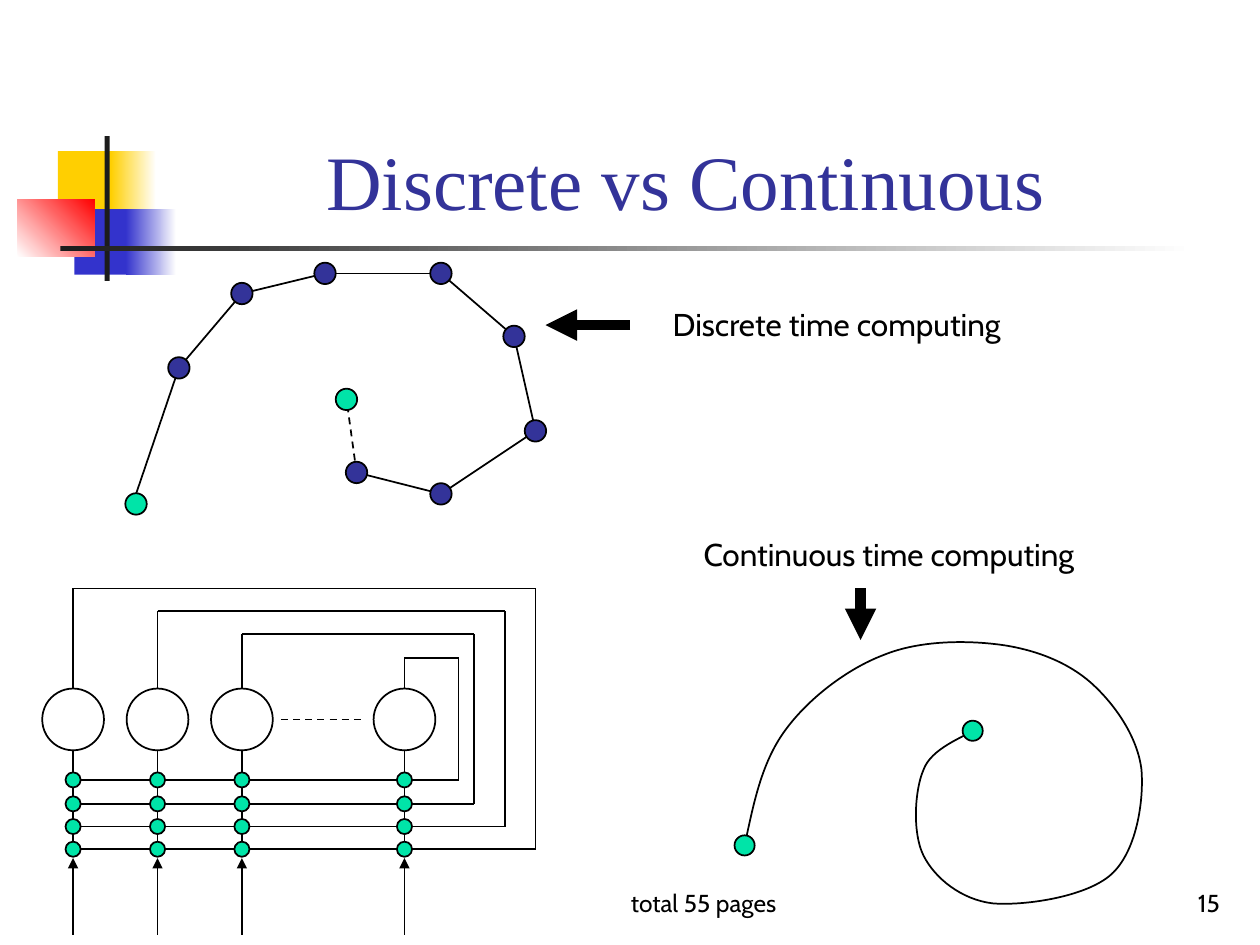
"""Build the slide comparing discrete and continuous time computing."""
from dataclasses import dataclass
from itertools import pairwise
from typing import Optional

from lxml.etree import SubElement
from pptx import Presentation
from pptx.dml.color import RGBColor
from pptx.enum.dml import MSO_LINE
from pptx.enum.shapes import MSO_CONNECTOR, MSO_SHAPE
from pptx.enum.text import MSO_ANCHOR, PP_ALIGN
from pptx.oxml.ns import qn
from pptx.util import Inches, Pt

BLACK = RGBColor(0x00, 0x00, 0x00)
WHITE = RGBColor(0xFF, 0xFF, 0xFF)
YELLOW = RGBColor(0xFF, 0xCF, 0x01)
BLUE = RGBColor(0x33, 0x33, 0xCC)
RED = RGBColor(0xFF, 0x00, 0x00)
CHARCOAL = RGBColor(0x1C, 0x1C, 0x1C)
NAVY = RGBColor(0x33, 0x33, 0x99)
GREEN = RGBColor(0x00, 0xE4, 0xA8)

Point = tuple[float, float]


@dataclass(frozen=True)
class Block:
    left: float
    top: float
    width: float
    height: float
    color: RGBColor
    fade_to: Optional[RGBColor] = None
    angle: float = 0


@dataclass(frozen=True)
class Label:
    text: str
    left: float
    top: float
    width: float
    height: float
    size: int
    align: PP_ALIGN = PP_ALIGN.CENTER
    anchor: MSO_ANCHOR = MSO_ANCHOR.TOP


@dataclass(frozen=True)
class Loop:
    column: float
    top: float
    right: float
    row: float


BLOCKS = [
    Block(0.46, 1.2, 0.48, 0.52, YELLOW),
    Block(0.88, 1.2, 0.36, 0.52, YELLOW, WHITE),
    Block(0.59, 1.66, 0.46, 0.52, BLUE),
    Block(1, 1.66, 0.4, 0.52, BLUE, WHITE),
    Block(0.14, 1.58, 0.61, 0.46, WHITE, RED, 45),
    Block(0.83, 1.08, 0.04, 1.15, CHARCOAL),
    Block(0.48, 1.95, 9, 0.04, CHARCOAL, WHITE),
]
LABELS = [
    Label("total 55 pages", 4, 6.83, 3.17, 0.5, 14, anchor=MSO_ANCHOR.BOTTOM),
    Label("15", 7.7, 6.83, 2.08, 0.5, 14, PP_ALIGN.RIGHT, MSO_ANCHOR.BOTTOM),
    Label("Discrete time computing", 5.09, 2.37, 3.1, 0.4, 18),
    Label("Continuous time computing", 5.31, 4.2, 3.49, 0.4, 18),
]
LOOPS = [
    Loop(0.58, 4.67, 4.25, 6.74),
    Loop(1.25, 4.85, 4.01, 6.56),
    Loop(1.92, 5.03, 3.76, 6.38),
    Loop(3.21, 5.22, 3.64, 6.19),
]
START, FINISH = (1.08, 4), (2.75, 3.17)
STEPS = [(1.42, 2.92), (1.92, 2.33), (2.58, 2.17), (3.5, 2.17),
         (4.08, 2.67), (4.25, 3.42), (3.5, 3.92), (2.83, 3.75)]
CURVE = [
    (5.91, 6.71), (5.98, 6.39), (6.04, 6.06), (6.23, 5.8),
    (6.41, 5.55), (6.72, 5.31), (7.01, 5.2),
    (7.3, 5.08), (7.68, 5.08), (7.96, 5.12),
    (8.23, 5.16), (8.48, 5.26), (8.66, 5.42),
    (8.85, 5.59), (9.03, 5.85), (9.06, 6.11),
    (9.08, 6.36), (9.02, 6.76), (8.82, 6.94),
    (8.62, 7.12), (8.13, 7.19), (7.88, 7.17),
    (7.63, 7.14), (7.42, 6.97), (7.33, 6.79),
    (7.24, 6.61), (7.26, 6.27), (7.33, 6.11),
    (7.39, 5.94), (7.65, 5.85), (7.72, 5.8),
]


def draw_block(slide, block: Block) -> None:
    shape = slide.shapes.add_shape(
        MSO_SHAPE.RECTANGLE, Inches(block.left), Inches(block.top),
        Inches(block.width), Inches(block.height))
    shape.shadow.inherit = False
    shape.line.fill.background()
    if block.fade_to is None:
        shape.fill.solid()
        shape.fill.fore_color.rgb = block.color
        return
    shape.fill.gradient()
    shape.fill.gradient_angle = block.angle
    for stop, color in zip(shape.fill.gradient_stops, (block.color, block.fade_to)):
        stop.color.rgb = color


def draw_label(slide, label: Label) -> None:
    box = slide.shapes.add_textbox(Inches(label.left), Inches(label.top),
                                   Inches(label.width), Inches(label.height))
    box.text_frame.word_wrap = True
    box.text_frame.vertical_anchor = label.anchor
    paragraph = box.text_frame.paragraphs[0]
    paragraph.text = label.text
    paragraph.alignment = label.align
    paragraph.font.name = "Cabin"
    paragraph.font.size = Pt(label.size)
    paragraph.font.color.rgb = BLACK


def draw_line(slide, start: Point, end: Point, width: float = 1,
              dashed: bool = False, arrow: bool = False) -> None:
    line = slide.shapes.add_connector(
        MSO_CONNECTOR.STRAIGHT, *(Inches(value) for value in (*start, *end)))
    line.line.color.rgb = BLACK
    line.line.width = Pt(width)
    if dashed:
        line.line.dash_style = MSO_LINE.DASH
    if arrow:
        SubElement(line.line._get_or_add_ln(), qn("a:tailEnd"), type="triangle")
    SubElement(line._element.spPr, qn("a:effectLst"))


def draw_circle(slide, center: Point, size: float, color: RGBColor) -> None:
    circle = slide.shapes.add_shape(
        MSO_SHAPE.OVAL, Inches(center[0] - size / 2), Inches(center[1] - size / 2),
        Inches(size), Inches(size))
    circle.shadow.inherit = False
    circle.fill.solid()
    circle.fill.fore_color.rgb = color
    circle.line.color.rgb = BLACK
    circle.line.width = Pt(1)


def draw_network(slide) -> None:
    draw_line(slide, (2.23, 5.71), (2.9, 5.71), dashed=True)
    bottom = LOOPS[0].row
    for loop in LOOPS:
        corners = [(loop.column, bottom), (loop.column, loop.top),
                   (loop.right, loop.top), (loop.right, loop.row),
                   (LOOPS[0].column, loop.row)]
        for start, end in pairwise(corners):
            draw_line(slide, start, end)
    for column in LOOPS:
        draw_circle(slide, (column.column, 5.71), 0.49, WHITE)
        for row in LOOPS:
            draw_circle(slide, (column.column, row.row), 0.12, GREEN)
        draw_line(slide, (column.column, 7.42), (column.column, 6.81), arrow=True)


def draw_steps(slide) -> None:
    for start, end in pairwise([(1.08, 3.92), *STEPS]):
        draw_line(slide, start, end)
    draw_line(slide, STEPS[-1], FINISH, dashed=True)
    for step in STEPS:
        draw_circle(slide, step, 0.17, NAVY)
    for end in (START, FINISH):
        draw_circle(slide, end, 0.17, GREEN)


def draw_spiral(slide) -> None:
    points = [(Inches(x), Inches(y)) for x, y in CURVE]
    builder = slide.shapes.build_freeform(*points[0])
    builder.add_line_segments(points[1:], close=False)
    spiral = builder.convert_to_shape()
    segments = list(spiral._element.iter(qn("a:lnTo")))
    outline = segments[0].getparent()
    for first in range(0, len(segments), 3):
        bend = SubElement(outline, qn("a:cubicBezTo"))
        for segment in segments[first:first + 3]:
            bend.append(segment[0])
            outline.remove(segment)
    spiral.shadow.inherit = False
    spiral.fill.background()
    spiral.line.color.rgb = BLACK
    spiral.line.width = Pt(1)
    for end in (CURVE[0], CURVE[-1]):
        draw_circle(slide, end, 0.16, GREEN)


def set_title(slide) -> None:
    title = slide.shapes.title
    title.left, title.top = Inches(1.26), Inches(0.24)
    title.width, title.height = Inches(8.52), Inches(1.6)
    title.text_frame.vertical_anchor = MSO_ANCHOR.BOTTOM
    paragraph = title.text_frame.paragraphs[0]
    paragraph.text = "Discrete vs Continuous "
    paragraph.alignment = PP_ALIGN.CENTER
    paragraph.font.name = "Times New Roman"
    paragraph.font.size = Pt(44)
    paragraph.font.color.rgb = NAVY


def main() -> None:
    deck = Presentation()
    deck.slide_width, deck.slide_height = Inches(10), Inches(7.5)
    slide = deck.slides.add_slide(deck.slide_layouts[5])
    for block in BLOCKS:
        draw_block(slide, block)
    set_title(slide)
    draw_network(slide)
    draw_steps(slide)
    draw_spiral(slide)
    for label in LABELS:
        draw_label(slide, label)
    draw_line(slide, (6.83, 4.67), (6.83, 5.08), width=6, arrow=True)
    draw_line(slide, (5, 2.58), (4.33, 2.58), width=6, arrow=True)
    deck.save("out.pptx")


if __name__ == "__main__":
    main()
